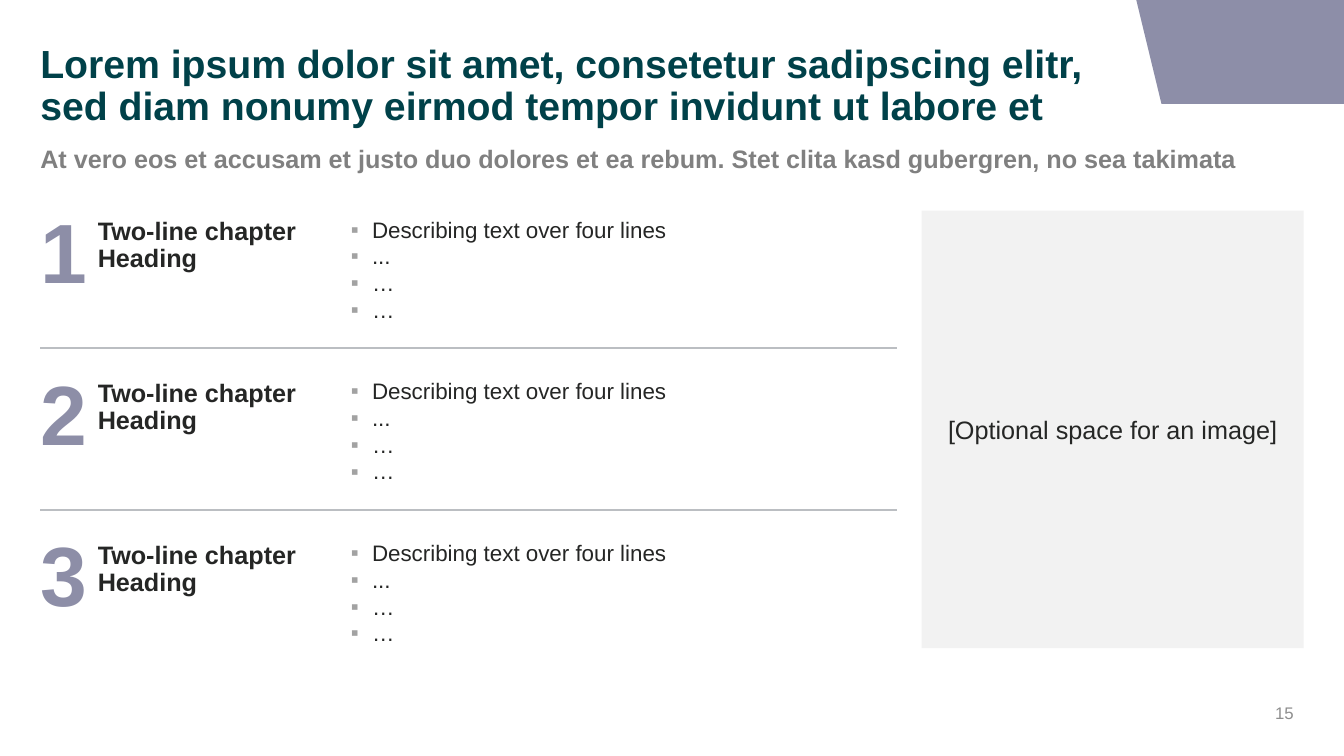
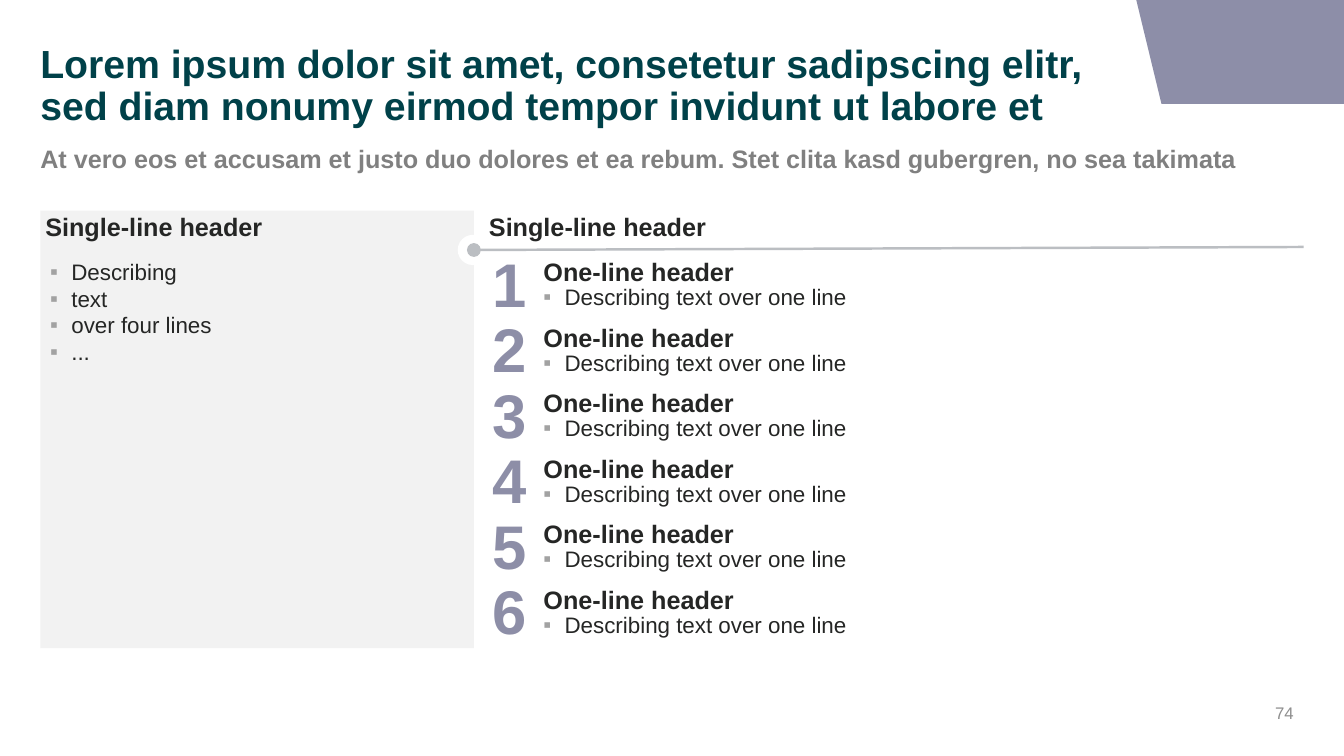
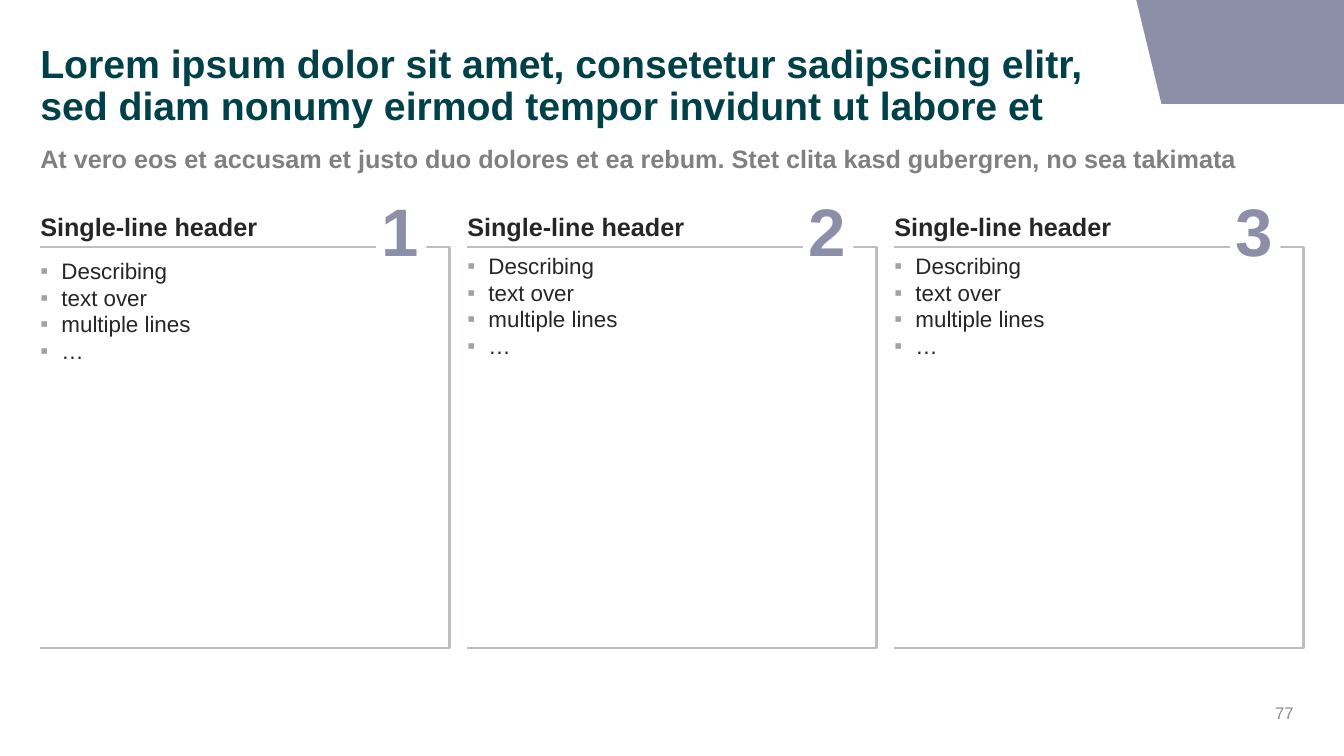
from lxml import etree
from pptx import Presentation
from pptx.dml.color import RGBColor
from pptx.enum.shapes import MSO_CONNECTOR, MSO_SHAPE
from pptx.enum.text import MSO_ANCHOR, PP_ALIGN
from pptx.oxml.ns import qn
from pptx.util import Inches, Pt

RECT, DOT = MSO_SHAPE.RECTANGLE, MSO_SHAPE.FLOWCHART_CONNECTOR
LINE = MSO_CONNECTOR.STRAIGHT
MID, RIGHT, CENTER = MSO_ANCHOR.MIDDLE, PP_ALIGN.RIGHT, PP_ALIGN.CENTER

# Theme: colours, then text styles as (size, colour, bold, paragraph format)
FONT = "Arial"
INK, GREY, WHITE, RULE, MARK = "252625", "F2F2F2", "FFFFFF", "BBBEC2", "A2A2A2"
BAND, DIGIT = "8D8EA8", "8D8EA7"
TIGHT = {"line_spacing": 0.9}
NUM = {**TIGHT, "space_before": Pt(4)}
THEME = {
    "title": (28, "004149", True, TIGHT),
    "sub": (18, "808080", True, {"space_before": Pt(6)}),
    "page": (12, "8E8E8E", False, {"alignment": RIGHT}),
    "note": (18, INK, False, {"alignment": CENTER}),
    "head": (18, INK, True, {}),
    "topic": (18, INK, True, TIGHT),
    "list": (16, INK, False, {**TIGHT, "space_before": Pt(1.8)}),
    "big": (60, DIGIT, True, NUM),
    "mid": (48, DIGIT, True, NUM),
    "small": (44, DIGIT, True, NUM),
}
THICK = Pt(1.75)

# Grid
W, H = 13.33, 7.5
LEFT, TOP, END, FOOT = 0.4, 2.09, 12.93, 6.43
WIDE, TALL = END - LEFT, FOOT - TOP
HEAD = TOP + 0.01
BAR = 2.45

deck = Presentation()
deck.slide_width, deck.slide_height = Inches(W), Inches(H)


def add(page, x, y, w, h, form=None, fill=None):
    """Add a text box, or a filled shape without outline."""
    area = [Inches(n) for n in (x, y, w, h)]
    if form is None:
        return page.shapes.add_textbox(*area)
    shape = page.shapes.add_shape(form, *area)
    shape.shadow.inherit = False
    shape.fill.solid()
    shape.fill.fore_color.rgb = RGBColor.from_string(fill)
    shape.line.fill.background()
    return shape


def write(shape, text, kind, pad=0, anchor=None):
    """Fill a shape with one paragraph per line of text."""
    size, tint, bold, form = THEME[kind]
    frame = shape.text_frame
    frame.word_wrap = True
    frame.margin_left = frame.margin_right = Inches(pad)
    frame.margin_top = frame.margin_bottom = 0
    if anchor is not None:
        frame.vertical_anchor = anchor
    frame.text = text
    for para in frame.paragraphs:
        for key, value in form.items():
            setattr(para, key, value)
        font = para.runs[0].font
        for key, value in {"name": FONT, "size": Pt(size), "bold": bold}.items():
            setattr(font, key, value)
        font.color.rgb = RGBColor.from_string(tint)
        if kind == "list":
            props = para._p.get_or_add_pPr()
            props.set("marL", str(Inches(0.21)))
            props.set("indent", str(Inches(-0.21)))
            color = etree.SubElement(props, qn("a:buClr"))
            etree.SubElement(color, qn("a:srgbClr"), val=MARK)
            etree.SubElement(props, qn("a:buFont"), typeface=FONT)
            etree.SubElement(props, qn("a:buChar"), char="▪")


# Shared parts: band, title, subtitle, page number
pages = []
for number in ("15", "74", "77"):
    page = deck.slides.add_slide(deck.slide_layouts[6])
    pages.append(page)
    path = page.shapes.build_freeform(Inches(W), 0)
    path.add_line_segments([(Inches(x), Inches(y)) for x, y in
                            ((W, 1.03), (11.52, 1.03), (11.27, 0))])
    band = path.convert_to_shape()
    band.shadow.inherit = False
    band.fill.solid()
    band.fill.fore_color.rgb = RGBColor.from_string(BAND)
    band.line.fill.background()
    write(add(page, LEFT, 0.44, 10.87, 0.87),
          "Lorem ipsum dolor sit amet, consetetur sadipscing elitr, "
          "sed diam nonumy eirmod tempor invidunt ut labore et", "title")
    write(add(page, LEFT, 1.42, WIDE, 0.34),
          "At vero eos et accusam et justo duo dolores et ea rebum. "
          "Stet clita kasd gubergren, no sea takimata", "sub")
    write(add(page, END - 3, 6.95, 3, 0.24), number, "page", 0.1, MID)

first, second, third = pages
rules = []

# Slide 1: three chapters beside an image space
STEP = 1.605
for row in range(3):
    y = TOP + row * STEP
    write(add(first, LEFT, y, 0.4, 0.91), str(row + 1), "big")
    write(add(first, 0.97, y + 0.08, 2.27, 0.55), "Two-line chapter Heading", "topic")
    write(add(first, 3.48, y + 0.08, 5.42, 1.05),
          "Describing text over four lines\n...\n…\n…", "list")
    if row:
        rules.append((first, LEFT, y - 0.24, 8.9, y - 0.24, None))
space = add(first, 9.14, TOP, END - 9.14, TALL, RECT, GREY)
write(space, "[Optional space for an image]", "note", 0.1, MID)

# Slide 2: grey panel and six numbered points
SIDE = 4.3
EDGE = LEFT + SIDE
add(second, LEFT, TOP, SIDE, TALL, RECT, GREY)
add(second, EDGE - 0.16, 2.33, 0.3, 0.3, DOT, WHITE)
for x in (LEFT + 0.05, EDGE + 0.15):
    write(add(second, x, HEAD, 3.8, 0.3), "Single-line header", "head")
write(add(second, LEFT, 2.59, SIDE, 1.05),
      "Describing\ntext\nover four lines\n...", "list", 0.1)
rules.append((second, EDGE, 2.48, END, BAR, "oval"))
for row in range(6):
    y = 2.58 + row * 0.65
    write(add(second, 4.88, y - 0.06, 0.42, 0.67), str(row + 1), "small")
    write(add(second, 5.39, y, 7.48, 0.27), "One-line header", "topic")
    write(add(second, 5.39, y + 0.26, 7.48, 0.24), "Describing text over one line", "list")

# Slide 3: three open frames with a number set into the top edge
COL = 4.06
PITCH = (WIDE - COL) / 2
for col, top in enumerate((2.58, 2.53, 2.53)):
    x = LEFT + col * PITCH
    path = third.shapes.build_freeform(Inches(x), Inches(BAR))
    path.add_line_segments([(Inches(a), Inches(b)) for a, b in
                            ((x + COL, BAR), (x + COL, FOOT), (x, FOOT))], close=False)
    frame = path.convert_to_shape()
    frame.shadow.inherit = False
    frame.fill.background()
    frame.line.color.rgb = RGBColor.from_string(RULE)
    frame.line.width = THICK
    write(add(third, x, HEAD, 3.3, 0.3), "Single-line header", "head")
    write(add(third, x, top, 3.95, 1.05),
          "Describing\ntext over\nmultiple lines\n…", "list")
    add(third, x + 3.33, 2.04, 0.5, 0.57, RECT, WHITE)
    write(add(third, x + 3.38, 1.97, 0.4, 0.73), str(col + 1), "mid")

# Rules of slides 1 and 2
for page, x1, y1, x2, y2, tip in rules:
    rule = page.shapes.add_connector(LINE, *[Inches(n) for n in (x1, y1, x2, y2)])
    rule.line.color.rgb = RGBColor.from_string(RULE)
    rule.line.width = THICK
    if tip:
        etree.SubElement(rule.line._get_or_add_ln(), qn("a:headEnd"),
                         type=tip, w="lg", len="lg")
    etree.SubElement(rule._element.spPr, qn("a:effectLst"))

deck.save("out.pptx")
